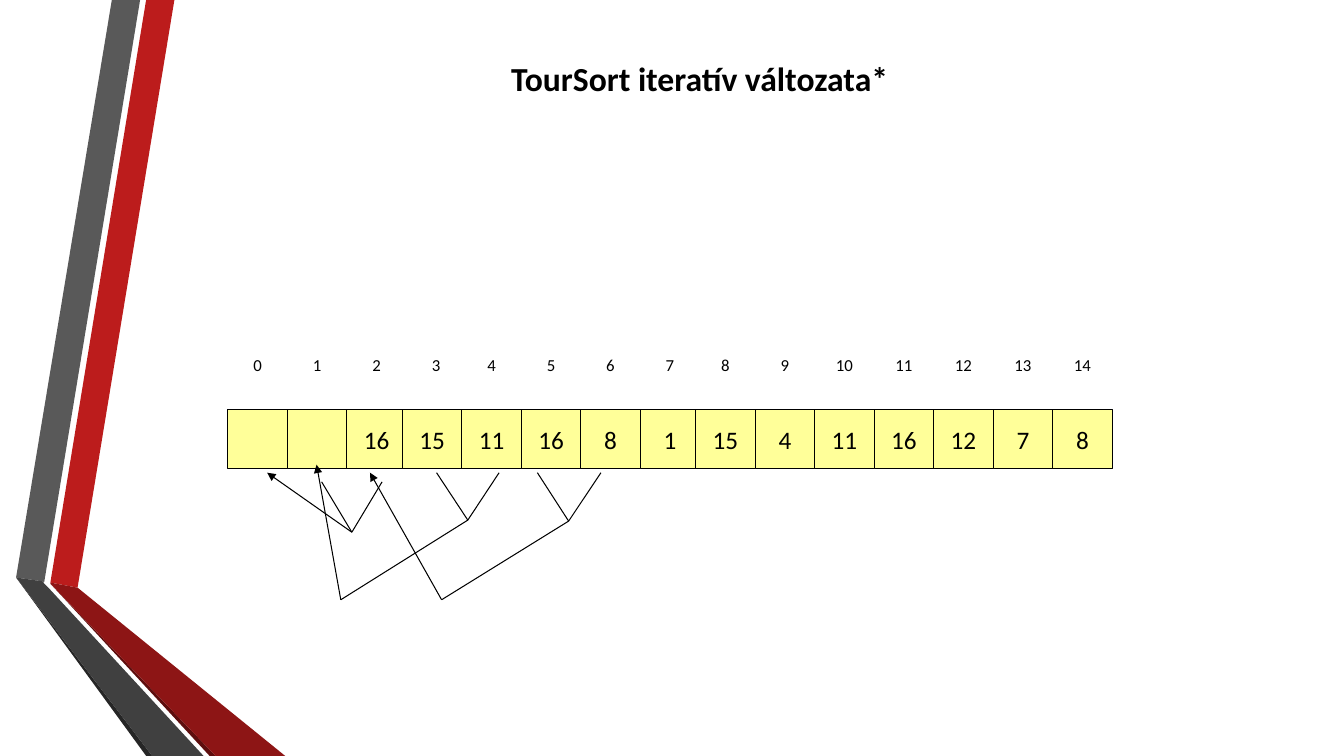
from lxml.etree import SubElement
from pptx import Presentation
from pptx.dml.color import RGBColor
from pptx.enum.shapes import MSO_CONNECTOR, MSO_SHAPE
from pptx.enum.text import MSO_ANCHOR, MSO_AUTO_SIZE, PP_ALIGN
from pptx.oxml.ns import qn
from pptx.util import Emu, Pt

PX = 9144  # EMU per px, 100 px to the inch
FONT = "Calibri"
BLACK = RGBColor(0x00, 0x00, 0x00)
CELL_YELLOW = RGBColor(0xFF, 0xFF, 0x99)
RED = RGBColor(0xBC, 0x1C, 0x1C)
DARK_RED = RGBColor(0x8D, 0x15, 0x15)
DEEP_RED = RGBColor(0x5E, 0x0E, 0x0E)
GREY = RGBColor(0x59, 0x59, 0x59)
DARK_GREY = RGBColor(0x40, 0x40, 0x40)
DEEP_GREY = RGBColor(0x26, 0x26, 0x26)


def write(shape, text, size, bold=False, anchor=MSO_ANCHOR.MIDDLE):
    frame = shape.text_frame
    frame.word_wrap = True
    frame.vertical_anchor = anchor
    paragraph = frame.paragraphs[0]
    paragraph.alignment = PP_ALIGN.CENTER
    run = paragraph.add_run()
    run.text = text
    run.font.name = FONT
    run.font.size = Pt(size)
    run.font.bold = bold
    run.font.color.rgb = BLACK


def draw_line(start, end, arrow=False):
    line = slide.shapes.add_connector(
        MSO_CONNECTOR.STRAIGHT, *(Emu(v * PX) for v in (*start, *end)))
    line.line.color.rgb = BLACK
    line.line.width = Pt(0.75)
    properties = line.element.spPr
    if arrow:
        SubElement(properties.find(qn("a:ln")), qn("a:tailEnd"), type="triangle")
    SubElement(properties, qn("a:effectLst"))


prs = Presentation()
prs.slide_width = Emu(1333 * PX)
prs.slide_height = Emu(750 * PX)
slide = prs.slides.add_slide(prs.slide_layouts[5])

# Folded ribbons on the left
ribbons = [
    (RED, [(50, 578), (77, 583), (173, 0), (145, 0)]),
    (GREY, [(139, 0), (111, 0), (16, 573), (44, 577)]),
    (DEEP_GREY, [(16, 573), (145, 750), (151, 750)]),
    (DEEP_RED, [(50, 579), (208, 750), (214, 750)]),
    (DARK_RED, [(50, 579), (214, 750), (283, 750), (77, 583), (50, 578)]),
    (DARK_GREY, [(202, 750), (48, 583), (43, 578), (44, 577), (16, 573), (151, 750)]),
]
for color, corners in ribbons:
    outline = slide.shapes.build_freeform(*corners[0], scale=PX)
    outline.add_line_segments(corners[1:], close=True)
    ribbon = outline.convert_to_shape()
    ribbon.shadow.inherit = False
    ribbon.fill.solid()
    ribbon.fill.fore_color.rgb = color
    ribbon.line.fill.background()

# Title
title = slide.shapes.title
title.left, title.top, title.width, title.height = (
    Emu(v * PX) for v in (257, 52, 874, 50))
write(title, "TourSort iteratív változata*", 24, bold=True, anchor=MSO_ANCHOR.TOP)
title.text_frame.auto_size = MSO_AUTO_SIZE.SHAPE_TO_FIT_TEXT

# Array cells with their indices; cells 2 and 7 are overlapped by the next one
SIDE, OVERLAP = 59, 4
ROW_LEFT, INDEX_TOP, CELL_TOP = 226, 332, 406
values = ["", "", "16", "15", "11", "16", "8", "1", "15", "4", "11", "16", "12", "7", "8"]
for index, value in enumerate(values):
    left = ROW_LEFT + index * SIDE - OVERLAP * ((index > 2) + (index > 7))
    cell = slide.shapes.add_shape(
        MSO_SHAPE.RECTANGLE, *(Emu(v * PX) for v in (left, CELL_TOP, SIDE, SIDE)))
    cell.shadow.inherit = False
    cell.fill.solid()
    cell.fill.fore_color.rgb = CELL_YELLOW
    cell.line.color.rgb = BLACK
    cell.line.width = Pt(0.75)
    if value:
        write(cell, value, 18)

    label_left = left + OVERLAP if index == 3 else left
    label = slide.shapes.add_textbox(
        *(Emu(v * PX) for v in (label_left, INDEX_TOP, SIDE, SIDE)))
    write(label, str(index), 12)

# Matches: two players meet, and the winner moves along the route to its parent
matches = [
    ((533, 469), (596, 469), [(564, 517), (438, 595), (367, 469)]),
    ((433, 469), (495, 469), [(464, 516), (338, 595), (314, 461)]),
    ((319, 478), (379, 478), [(349, 528), (265, 469)]),
]
for first_player, second_player, route in matches:
    draw_line(first_player, route[0])
    draw_line(second_player, route[0])
    for start, end in zip(route, route[1:]):
        draw_line(start, end, arrow=end == route[-1])

prs.save("out.pptx")
